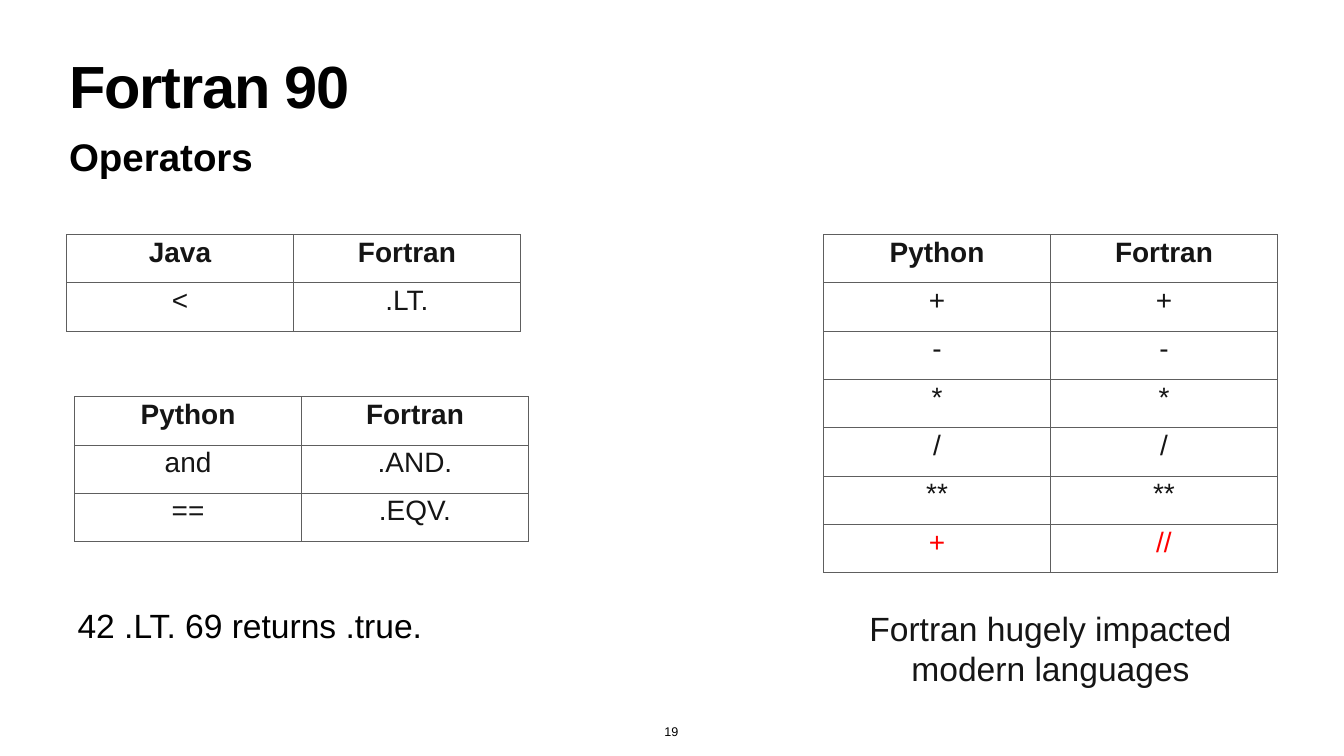
"""Build the Fortran 90 operators slide."""
from lxml.etree import SubElement
from pptx import Presentation
from pptx.dml.color import RGBColor
from pptx.enum.text import MSO_ANCHOR, MSO_AUTO_SIZE, PP_ALIGN
from pptx.oxml.ns import qn
from pptx.util import Pt

BLACK, INK, RED, GRID = "000000", "151515", "FF0000", "5E5E5E"
COLUMN_WIDTH, ROW_HEIGHT = 324.25, 69
TABLE_WIDTH = 2 * COLUMN_WIDTH
LEFT, INDENT, RIGHT, TABLE_TOP = 95, 106.5, 1176.5, 335


def color(value):
    return RGBColor.from_string(value)


def write(frame, text, font="Arial", size=48, ink=BLACK, bold=False,
          align=PP_ALIGN.LEFT, line_spacing=1.0, tracking=0):
    paragraph = frame.paragraphs[0]
    paragraph.alignment = align
    paragraph.line_spacing = line_spacing
    paragraph.space_before = Pt(0)
    run = paragraph.add_run()
    run.text = text
    run.font.name = font
    run.font.size = Pt(size)
    run.font.bold = bold
    run.font.color.rgb = color(ink)
    if tracking:
        run.font._element.set("spc", str(round(tracking * 100)))


def draw_borders(cell):
    properties = cell._tc.get_or_add_tcPr()
    for index, side in enumerate(("lnL", "lnR", "lnT", "lnB")):
        line = properties.makeelement(qn(f"a:{side}"), {"w": str(Pt(1))})
        fill = SubElement(line, qn("a:solidFill"))
        SubElement(fill, qn("a:srgbClr"), val=GRID)
        properties.insert(index, line)


class SlideBuilder:
    def __init__(self, slide, font="Arial"):
        self.slide = slide
        self.font = font

    def place(self, shape, box, text, anchor=MSO_ANCHOR.TOP, inset=4.3,
              wrap=True, fit=MSO_AUTO_SIZE.NONE, **style):
        shape.left, shape.top, shape.width, shape.height = map(Pt, box)
        frame = shape.text_frame
        frame.word_wrap = wrap
        frame.auto_size = fit
        frame.vertical_anchor = anchor
        frame.margin_left = frame.margin_right = Pt(inset)
        frame.margin_top = frame.margin_bottom = Pt(inset)
        write(frame, text, font=self.font, **style)

    def title(self, box, text, **style):
        self.place(self.slide.shapes.title, box, text, **style)

    def text(self, box, text, **style):
        shape = self.slide.shapes.add_textbox(*map(Pt, box))
        self.place(shape, box, text, **style)

    def table(self, left, top, rows, accent_row=None):
        shape = self.slide.shapes.add_table(
            len(rows), 2, Pt(left), Pt(top), Pt(TABLE_WIDTH), Pt(ROW_HEIGHT * len(rows)))
        table = shape.table
        table.first_row = table.horz_banding = False
        for column in table.columns:
            column.width = Pt(COLUMN_WIDTH)
        for row_index, values in enumerate(rows):
            table.rows[row_index].height = Pt(ROW_HEIGHT)
            for column_index, value in enumerate(values):
                cell = table.cell(row_index, column_index)
                cell.fill.background()
                draw_borders(cell)
                write(cell.text_frame, value, font=self.font, size=40,
                      ink=RED if row_index == accent_row else INK,
                      bold=row_index == 0, align=PP_ALIGN.CENTER)


def main():
    presentation = Presentation()
    presentation.slide_width, presentation.slide_height = Pt(1920), Pt(1080)
    slide = presentation.slides.add_slide(presentation.slide_layouts[5])
    builder = SlideBuilder(slide)

    builder.title((LEFT, 85, 1730, 113), "Fortran 90", size=85, bold=True,
                  line_spacing=0.8, tracking=-1.7)
    builder.text((LEFT, 187, 1730, 73.5), "Operators", size=55, bold=True, inset=3.6)
    builder.text((INDENT, 867, 637, 117), "42 .LT. 69 returns .true.", line_spacing=0.9)

    builder.table(LEFT, TABLE_TOP, [("Java", "Fortran"), ("<", ".LT.")])
    shared = [(operator, operator) for operator in ("+", "-", "*", "/", "**")]
    builder.table(RIGHT, TABLE_TOP, [("Python", "Fortran"), *shared, ("+", "//")],
                  accent_row=6)
    builder.text((RIGHT, 864, TABLE_WIDTH, 124.5),
                 "Fortran hugely impacted modern languages", ink=INK,
                 align=PP_ALIGN.CENTER, anchor=MSO_ANCHOR.MIDDLE,
                 fit=MSO_AUTO_SIZE.SHAPE_TO_FIT_TEXT)
    builder.text((944.5, 1030, 29, 29.5), "19", size=18, align=PP_ALIGN.CENTER,
                 anchor=MSO_ANCHOR.BOTTOM, wrap=False,
                 fit=MSO_AUTO_SIZE.SHAPE_TO_FIT_TEXT)
    builder.table(INDENT, 566.5, [("Python", "Fortran"), ("and", ".AND."), ("==", ".EQV.")])

    presentation.save("out.pptx")


if __name__ == "__main__":
    main()
